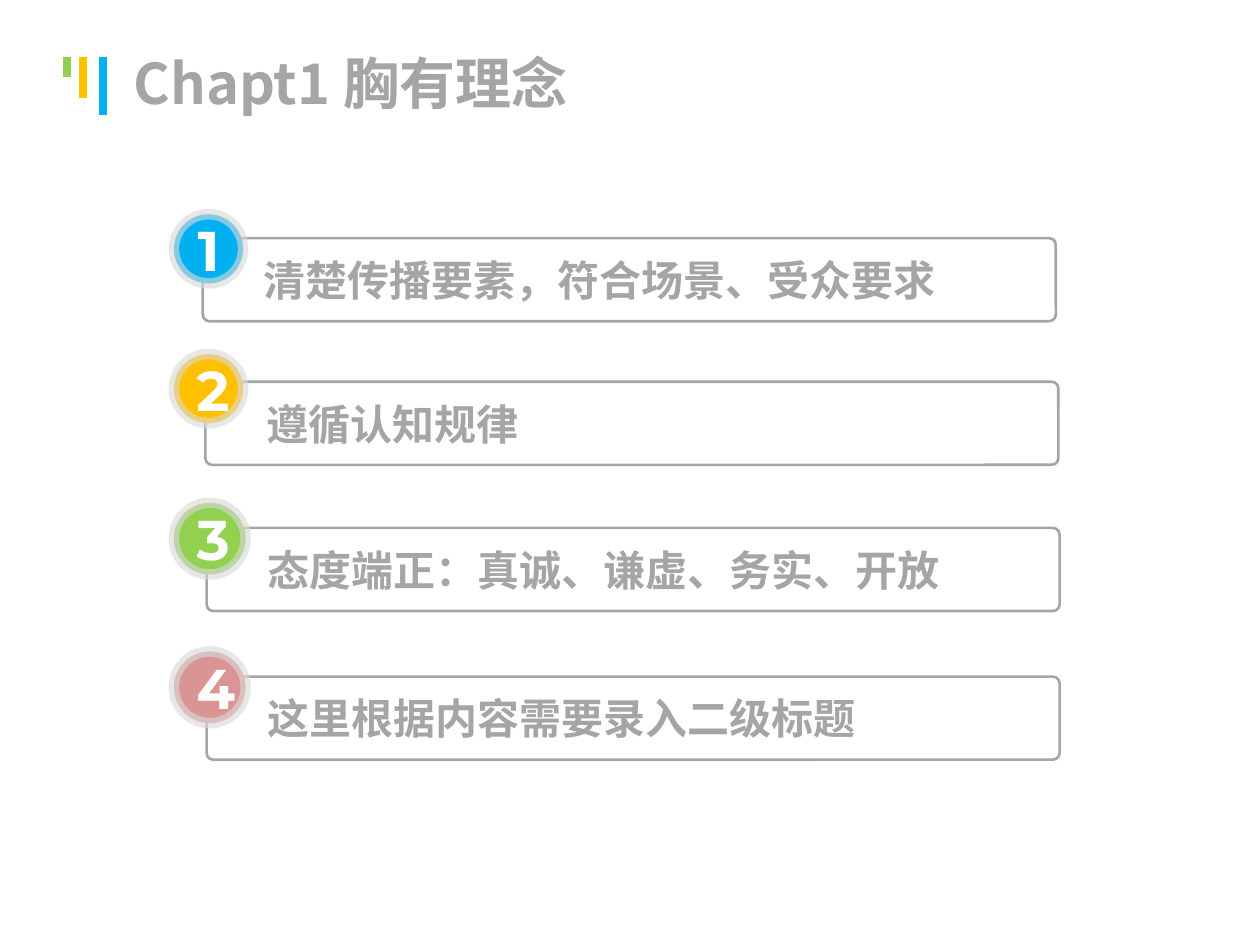
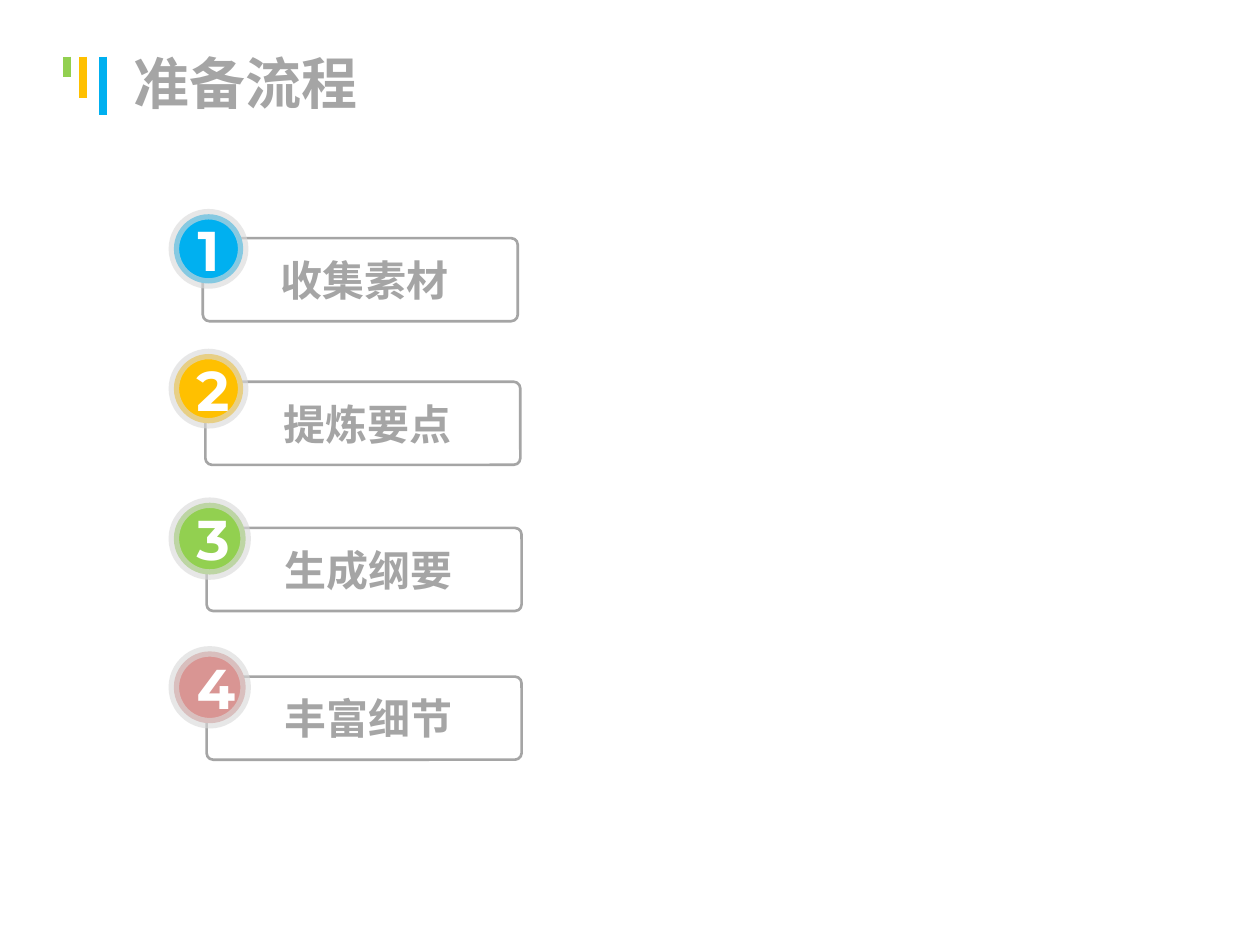
from dataclasses import dataclass
from lxml import etree
from pptx import Presentation
from pptx.dml.color import RGBColor
from pptx.enum.shapes import MSO_CONNECTOR, MSO_SHAPE
from pptx.enum.text import MSO_ANCHOR, PP_ALIGN
from pptx.oxml.ns import qn
from pptx.util import Inches, Pt

LEFT, CENTER = PP_ALIGN.LEFT, PP_ALIGN.CENTER
MIDDLE = MSO_ANCHOR.MIDDLE
ROUNDED, OVAL = MSO_SHAPE.ROUNDED_RECTANGLE, MSO_SHAPE.OVAL
STRAIGHT = MSO_CONNECTOR.STRAIGHT

SLIDE_WIDTH, SLIDE_HEIGHT = Inches(10), Inches(7.5)
COLUMNS, ROWS = 100, 75


@dataclass(frozen=True)
class Theme:
    gray: str = "A5A5A5"
    ring: str = "D9D9D9"
    white: str = "FFFFFF"
    blue: str = "00B0F0"
    amber: str = "FFC000"
    green: str = "92D050"
    rose: str = "D99593"
    text_font: str = "Noto Sans CJK SC"
    number_font: str = "Montserrat"
    title_size: int = 32
    item_size: int = 24
    number_size: int = 32
    frame_width: float = 1.5
    ring_width: float = 6
    ring_opacity: int = 61
    bar_width: float = 4.5


@dataclass(frozen=True)
class Box:
    left: float
    top: float
    width: float
    height: float

    def inner(self, left, top, width, height):
        return Box(self.left + left, self.top + top, width, height)

    def emu(self):
        return (across(self.left), down(self.top), across(self.width), down(self.height))


@dataclass(frozen=True)
class Step:
    color: str
    frame_left: float
    frame_top: float
    badge_top: float
    badge_size: float


@dataclass(frozen=True)
class ListStyle:
    frame_width: float
    align: PP_ALIGN
    text_inset: float


THEME = Theme()
HEADER = Box(5.3, 0.3, 93.3, 12.5)
BODY = Box(13.8, 17, 72, 45)
FRAME_HEIGHT = 6.6
FRAME_CORNER = 0.08
BARS = ((THEME.blue, 2.9, 4.6), (THEME.amber, 1.3, 3.3), (THEME.green, 0, 1.6))
STEPS = (
    Step(THEME.blue, 2.3, 1.9, 0, 5.5),
    Step(THEME.amber, 2.5, 13.3, 11.1, 5.5),
    Step(THEME.green, 2.6, 24.9, 22.9, 5.7),
    Step(THEME.rose, 2.6, 36.7, 34.7, 5.7),
)
WIDE_LIST = ListStyle(67.7, LEFT, 4.7)
NARROW_LIST = ListStyle(25, CENTER, 1.7)
SLIDES = (
    ("Chapt1 胸有理念", WIDE_LIST, (
        "清楚传播要素，符合场景、受众要求",
        "遵循认知规律",
        "态度端正：真诚、谦虚、务实、开放",
        "这里根据内容需要录入二级标题",
    )),
    ("准备流程", NARROW_LIST, ("收集素材", "提炼要点", "生成纲要", "丰富细节")),
)


def across(columns):
    return round(SLIDE_WIDTH * columns / COLUMNS)


def down(rows):
    return round(SLIDE_HEIGHT * rows / ROWS)


def rgb(color):
    return RGBColor.from_string(color)


def write(frame, text, size, font_name, color, align):
    frame.vertical_anchor = MIDDLE
    frame.word_wrap = True
    paragraph = frame.paragraphs[0]
    paragraph.alignment = align
    run = paragraph.add_run()
    run.text = text
    run.font.size = Pt(size)
    run.font.bold = True
    run.font.color.rgb = rgb(color)
    run.font.name = font_name
    east_asian = etree.SubElement(run.font._element, qn("a:ea"))
    east_asian.set("typeface", font_name)


def outline(line, color, width):
    line.color.rgb = rgb(color)
    line.width = Pt(width)


def add_header(slide, box, text):
    bars = slide.shapes.add_group_shape()
    for color, offset, length in BARS:
        x, top = across(box.left + offset), down(box.top + 4.2)
        bar = bars.shapes.add_connector(STRAIGHT, x, top, x, top + down(length))
        outline(bar.line, color, THEME.bar_width)
        etree.SubElement(bar._element.spPr, qn("a:effectLst"))
    title = slide.shapes.title
    title.left, title.top, title.width, title.height = box.inner(4.3, 0, 90, box.height).emu()
    write(title.text_frame, text, THEME.title_size, THEME.text_font, THEME.gray, LEFT)


def add_frame(group, box, text, style):
    frame = group.shapes.add_shape(ROUNDED, *box.emu())
    frame.adjustments[0] = FRAME_CORNER
    frame.shadow.inherit = False
    frame.fill.background()
    outline(frame.line, THEME.gray, THEME.frame_width)
    frame.text_frame.margin_left = across(style.text_inset)
    write(frame.text_frame, text, THEME.item_size, THEME.text_font, THEME.gray, style.align)


def add_badge(group, box, number, color):
    badge = group.shapes.add_shape(OVAL, *box.emu())
    badge.shadow.inherit = False
    badge.fill.solid()
    badge.fill.fore_color.rgb = rgb(color)
    outline(badge.line, THEME.ring, THEME.ring_width)
    ring_color = badge._element.spPr.find(qn("a:ln")).find(".//" + qn("a:srgbClr"))
    etree.SubElement(ring_color, qn("a:alpha")).set("val", str(THEME.ring_opacity * 1000))
    write(badge.text_frame, str(number), THEME.number_size, THEME.number_font, THEME.white, CENTER)


def add_numbered_list(slide, box, items, style):
    for number, (step, text) in enumerate(zip(STEPS, items), 1):
        group = slide.shapes.add_group_shape()
        frame_box = box.inner(step.frame_left, step.frame_top, style.frame_width, FRAME_HEIGHT)
        badge_box = box.inner(0, step.badge_top, step.badge_size, step.badge_size)
        add_frame(group, frame_box, text, style)
        add_badge(group, badge_box, number, step.color)


def main():
    deck = Presentation()
    deck.slide_width, deck.slide_height = SLIDE_WIDTH, SLIDE_HEIGHT
    title_only = deck.slide_layouts.get_by_name("Title Only")
    for title, style, items in SLIDES:
        slide = deck.slides.add_slide(title_only)
        add_header(slide, HEADER, title)
        add_numbered_list(slide, BODY, items, style)
    deck.save("out.pptx")


if __name__ == "__main__":
    main()
